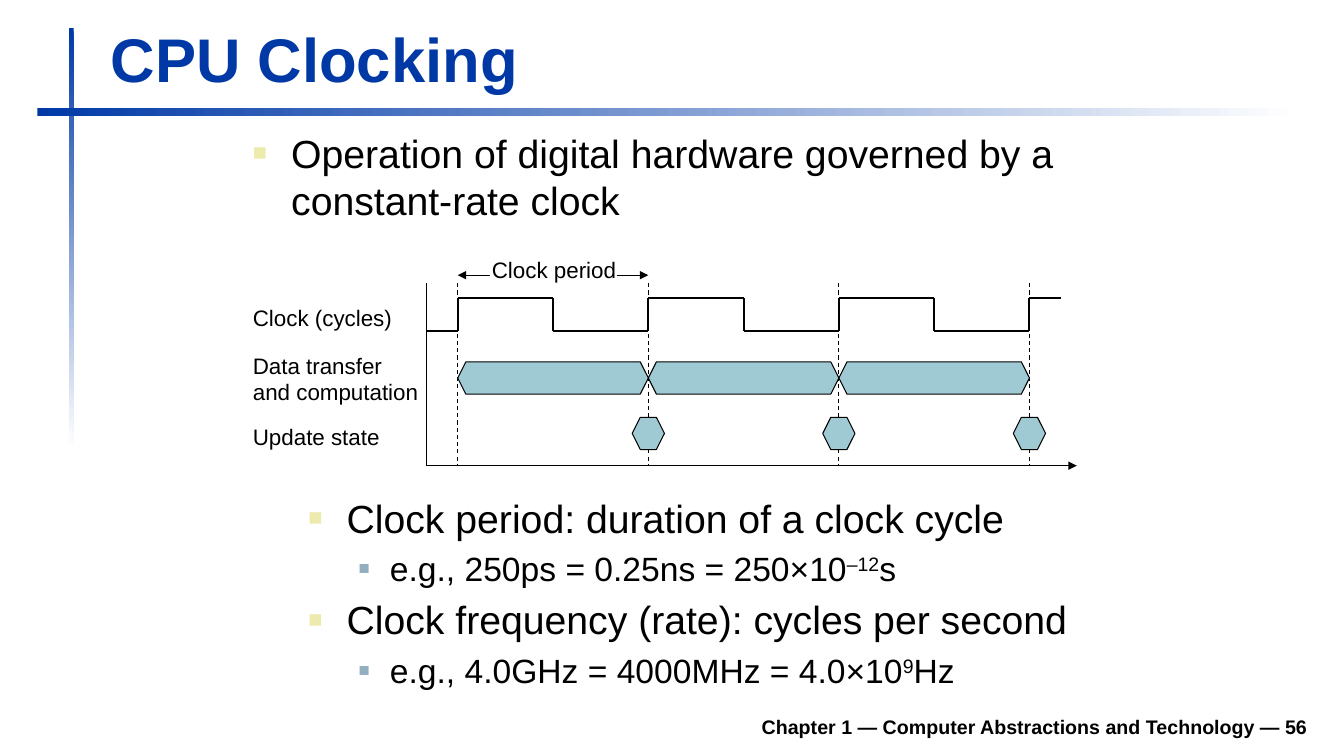
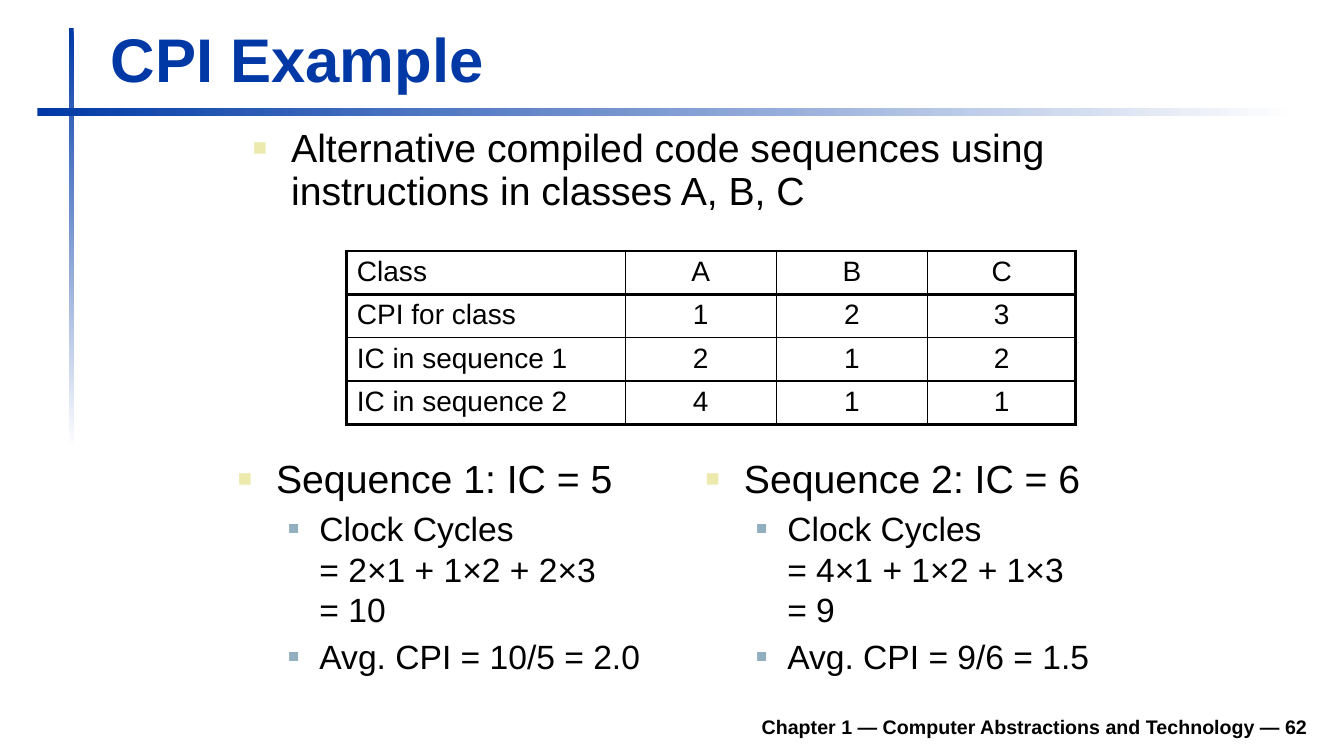
from pptx import Presentation
from pptx.dml.color import RGBColor
from pptx.enum.dml import MSO_LINE
from pptx.enum.shapes import MSO_CONNECTOR, MSO_SHAPE
from pptx.enum.text import MSO_ANCHOR, MSO_AUTO_SIZE, PP_ALIGN
from pptx.oxml.ns import qn
from pptx.util import Inches, Pt
from lxml import etree

RECTANGLE, HEXAGON = MSO_SHAPE.RECTANGLE, MSO_SHAPE.HEXAGON
STRAIGHT, DASH = MSO_CONNECTOR.STRAIGHT, MSO_LINE.DASH
LEFT, CENTER, RIGHT = PP_ALIGN.LEFT, PP_ALIGN.CENTER, PP_ALIGN.RIGHT
TOP, BOTTOM = MSO_ANCHOR.TOP, MSO_ANCHOR.BOTTOM
FIT_SHAPE = MSO_AUTO_SIZE.SHAPE_TO_FIT_TEXT

FONT = "Arial"
COLORS = {"title": "0039A6", "text": "000000", "paper": "FFFFFF",
          "bullet": "ECEAAC", "sub_bullet": "91AFBF", "signal": "9FCAD3"}
RGB = {name: RGBColor.from_string(value) for name, value in COLORS.items()}

# Text styles; bullet is (colour, size in percent, left margin, hanging indent, level)
STYLES = {
    "title": {"size": 44, "bold": True, "color": "title"},
    "footer": {"size": 14, "bold": True, "align": RIGHT},
    "label": {"size": 16},
    "center_label": {"size": 16, "align": CENTER},
    "cell": {"size": 20},
    "center_cell": {"size": 20, "align": CENTER},
    "point": {"size": 28, "bullet": ("bullet", 60, 0.38, 0.38, 0)},
    "tight_point": {"size": 28, "bullet": ("bullet", 60, 0.38, 0.38, 0), "spacing": 0.9},
    "sub_point": {"size": 24, "bullet": ("sub_bullet", 55, 0.81, 0.31, 1)},
}


def write_text(frame, paragraphs):
    """Write (style, text) pairs; ^ marks surround a superscript."""
    for index, (style_name, text) in enumerate(paragraphs):
        style = STYLES[style_name]
        paragraph = frame.add_paragraph() if index else frame.paragraphs[0]
        paragraph.alignment = style.get("align", LEFT)
        if "bullet" in style:
            color, percent, margin, hanging, level = style["bullet"]
            paragraph.level = level
            properties = paragraph._p.get_or_add_pPr()
            properties.set("marL", str(Inches(margin)))
            properties.set("indent", str(-Inches(hanging)))
            bullet_color = etree.SubElement(properties, qn("a:buClr"))
            etree.SubElement(bullet_color, qn("a:srgbClr"), val=COLORS[color])
            etree.SubElement(properties, qn("a:buSzPct"), val=str(percent * 1000))
            etree.SubElement(properties, qn("a:buFont"), typeface=FONT)
            etree.SubElement(properties, qn("a:buChar"), char="■")
        if "spacing" in style:
            paragraph.line_spacing = style["spacing"]
        paragraph.space_before = Pt(style["size"] * 0.2 if index else 0)
        for line_index, line in enumerate(text.split("\n")):
            if line_index:
                paragraph.add_line_break()
            for part_index, part in enumerate(line.split("^")):
                run = paragraph.add_run()
                run.text = part
                run.font.name = FONT
                run.font.size = Pt(style["size"])
                run.font.bold = style.get("bold", False)
                run.font.color.rgb = RGB[style.get("color", "text")]
                if part_index % 2:
                    run.font._element.set("baseline", "30000")


def add_line(slide, start, end, width=0.75, dash=None, arrows=()):
    """Draw a black line; arrows lists headEnd and/or tailEnd."""
    line = slide.shapes.add_connector(STRAIGHT, *map(Inches, start + end))
    line.line.color.rgb = RGB["text"]
    line.line.width = Pt(width)
    if dash:
        line.line.dash_style = dash
    properties = line._element.spPr
    for arrow in arrows:
        etree.SubElement(properties.find(qn("a:ln")), qn("a:" + arrow), type="triangle")
    etree.SubElement(properties, qn("a:effectLst"))


presentation = Presentation()
presentation.slide_width, presentation.slide_height = Inches(13.33), Inches(7.5)
blank_layout = presentation.slide_layouts[6]
clocking_slide = presentation.slides.add_slide(blank_layout)
cpi_slide = presentation.slides.add_slide(blank_layout)

# Crossing gradient bands on both slides
for slide in (clocking_slide, cpi_slide):
    for position, angle in (((0.68, 0.28, 0.05, 4.17), 270), ((0.37, 1.07, 12.5, 0.08), 0)):
        band = slide.shapes.add_shape(RECTANGLE, *map(Inches, position))
        band.shadow.inherit = False
        band.line.fill.background()
        band.fill.gradient()
        band.fill.gradient_angle = angle
        for stop, color, place in zip(band.fill.gradient_stops, ("title", "paper"), (0, 1)):
            stop.color.rgb = RGB[color]
            stop.position = place

# Timing diagram: clock edges and axes
axis_left, axis_top, axis_bottom = 4.23, 2.81, 4.62
period, clock_high, clock_low = 1.89, 2.96, 3.28
edges = [4.54 + period * index for index in range(4)]

add_line(clocking_slide, (edges[0], 2.73), (edges[1], 2.73), arrows=("headEnd", "tailEnd"))
for edge in edges:
    add_line(clocking_slide, (edge, axis_top), (edge, axis_bottom), dash=DASH)
add_line(clocking_slide, (axis_left, axis_bottom), (10.68, axis_bottom), arrows=("tailEnd",))
add_line(clocking_slide, (axis_left, axis_bottom), (axis_left, axis_top))

# Clock wave
wave = [(axis_left, clock_low)]
for edge in edges:
    middle = edge + period / 2
    wave += [(edge, clock_low), (edge, clock_high), (middle, clock_high), (middle, clock_low)]
wave[-2:] = [(edges[-1] + 0.31, clock_high)]
for start, end in zip(wave, wave[1:]):
    add_line(clocking_slide, start, end, width=1.5)

# Data transfers, state updates and the gap behind the period label
transfers = [(HEXAGON, (edge, 3.59, period, 0.32), "signal") for edge in edges[:-1]]
updates = [(HEXAGON, (edge - 0.16, 4.14, 0.32, 0.32), "signal") for edge in edges[1:]]
label_gap = (RECTANGLE, (4.86, 2.65, 1.26, 0.16), "paper")
for kind, position, color in transfers + updates + [label_gap]:
    shape = clocking_slide.shapes.add_shape(kind, *map(Inches, position))
    shape.shadow.inherit = False
    shape.fill.solid()
    shape.fill.fore_color.rgb = RGB[color]
    if kind == HEXAGON:
        shape.line.color.rgb = RGB["text"]
        shape.line.width = Pt(0.75)
    else:
        shape.line.fill.background()

# Class table
rows = [("Class", "A", "B", "C"),
        ("CPI for class", "1", "2", "3"),
        ("IC in sequence 1", "2", "1", "2"),
        ("IC in sequence 2", "4", "1", "1")]
column_widths = (2.76, 1.5, 1.5, 1.47)
table = cpi_slide.shapes.add_table(
    len(rows), len(column_widths), Inches(3.44), Inches(2.49),
    Inches(sum(column_widths)), Inches(0.43 * len(rows))).table
table.first_row = table.horz_banding = False
for column, width in zip(table.columns, column_widths):
    column.width = Inches(width)
for row_index, row in enumerate(rows):
    for column_index, text in enumerate(row):
        cell = table.cell(row_index, column_index)
        cell.fill.background()
        write_text(cell.text_frame, [("center_cell" if column_index else "cell", text)])
        thick_sides = {"lnL": column_index == 0, "lnR": column_index == len(row) - 1,
                       "lnT": row_index in (0, 1), "lnB": row_index in (0, len(rows) - 1)}
        properties = cell._tc.get_or_add_tcPr()
        for place, (side, thick) in enumerate(thick_sides.items()):
            border = etree.Element(qn("a:" + side), w=str(Pt(2.25 if thick else 1)))
            border_fill = etree.SubElement(border, qn("a:solidFill"))
            etree.SubElement(border_fill, qn("a:srgbClr"), val=COLORS["text"])
            properties.insert(place, border)

# Titles and footers
texts = []
for slide, title, number in ((clocking_slide, "CPU Clocking", 56), (cpi_slide, "CPI Example", 62)):
    footer = f"Chapter 1 — Computer Abstractions and Technology — {number}"
    texts += [(slide, (1, 0.16, 12.04, 0.83), [("title", title)]),
              (slide, (2.47, 6.98, 10.6, 0.39), [("footer", footer)])]

# Body text and diagram labels
texts += [
    (clocking_slide, (2.41, 1.23, 9.05, 1.34),
     [("point", "Operation of digital hardware governed by a constant-rate clock")]),
    (clocking_slide, (2.41, 2.97, 1.58, 0.37), [("label", "Clock (cycles)")]),
    (clocking_slide, (2.41, 3.44, 1.84, 0.64), [("label", "Data transfer\nand computation")]),
    (clocking_slide, (2.41, 4.15, 1.46, 0.37), [("label", "Update state")]),
    (clocking_slide, (4.78, 2.49, 1.43, 0.37), [("center_label", "Clock period")]),
    (clocking_slide, (2.96, 4.85, 8.5, 2.13),
     [("point", "Clock period: duration of a clock cycle"),
      ("sub_point", "e.g., 250ps = 0.25ns = 250×10^–12^s"),
      ("point", "Clock frequency (rate): cycles per second"),
      ("sub_point", "e.g., 4.0GHz = 4000MHz = 4.0×10^9^Hz")]),
    (cpi_slide, (2.41, 1.23, 9.05, 1.09),
     [("tight_point", "Alternative compiled code sequences using instructions in classes A, B, C")]),
]
sequences = [(2.26, "Sequence 1: IC = 5", "2×1 + 1×2 + 2×3\n= 10", "10/5 = 2.0"),
             (6.9, "Sequence 2: IC = 6", "4×1 + 1×2 + 1×3\n= 9", "9/6 = 1.5")]
for left, heading, cycles, average in sequences:
    texts.append((cpi_slide, (left, 4.46, 4.25, 2.28),
                  [("point", heading),
                   ("sub_point", f"Clock Cycles\n= {cycles}"),
                   ("sub_point", f"Avg. CPI = {average}")]))

for slide, position, paragraphs in texts:
    frame = slide.shapes.add_textbox(*map(Inches, position)).text_frame
    style_name = paragraphs[0][0]
    is_label = style_name in ("label", "center_label")
    frame.word_wrap = not is_label
    if is_label:
        frame.auto_size = FIT_SHAPE
    frame.vertical_anchor = BOTTOM if style_name in ("title", "footer") else TOP
    write_text(frame, paragraphs)

presentation.save("out.pptx")
